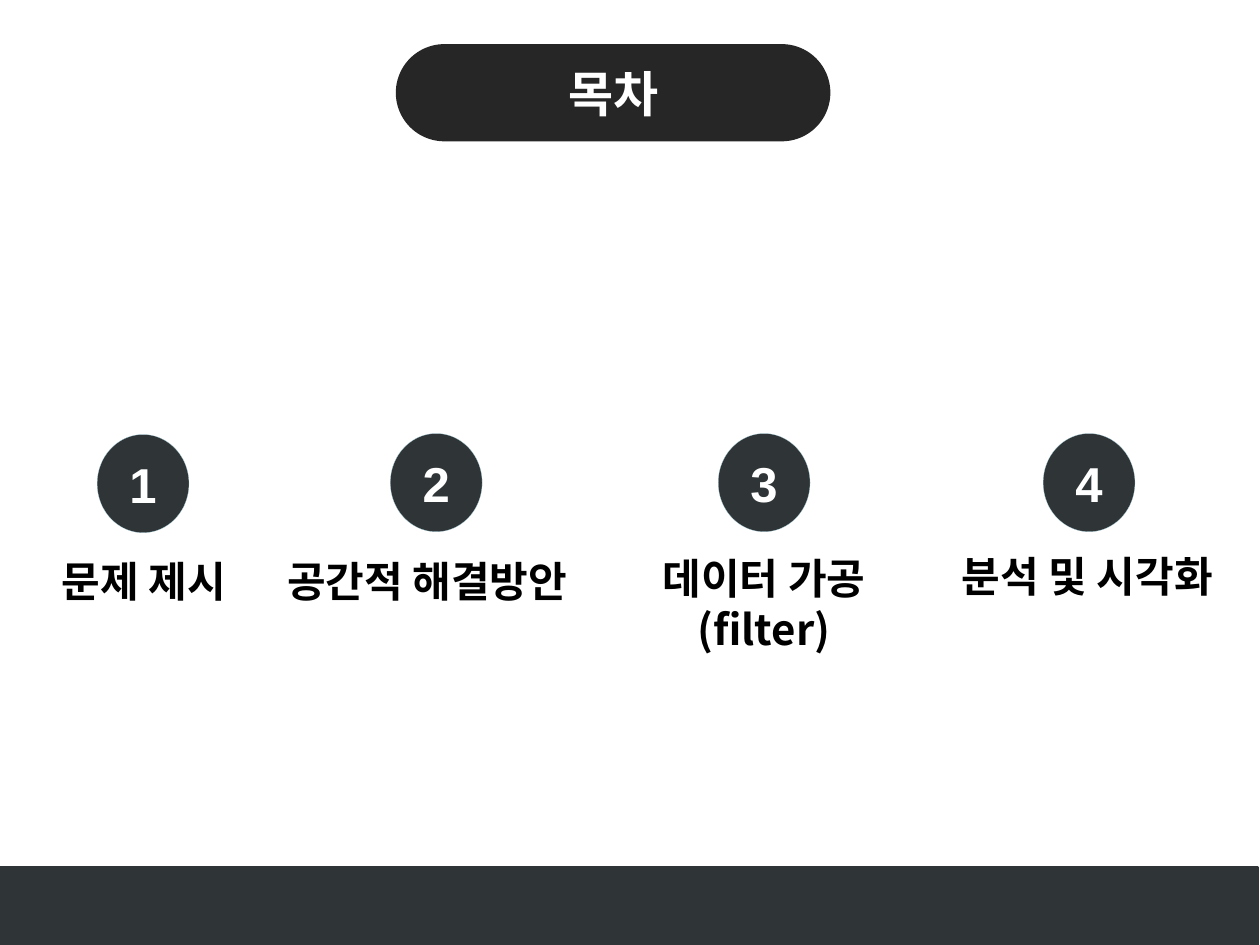
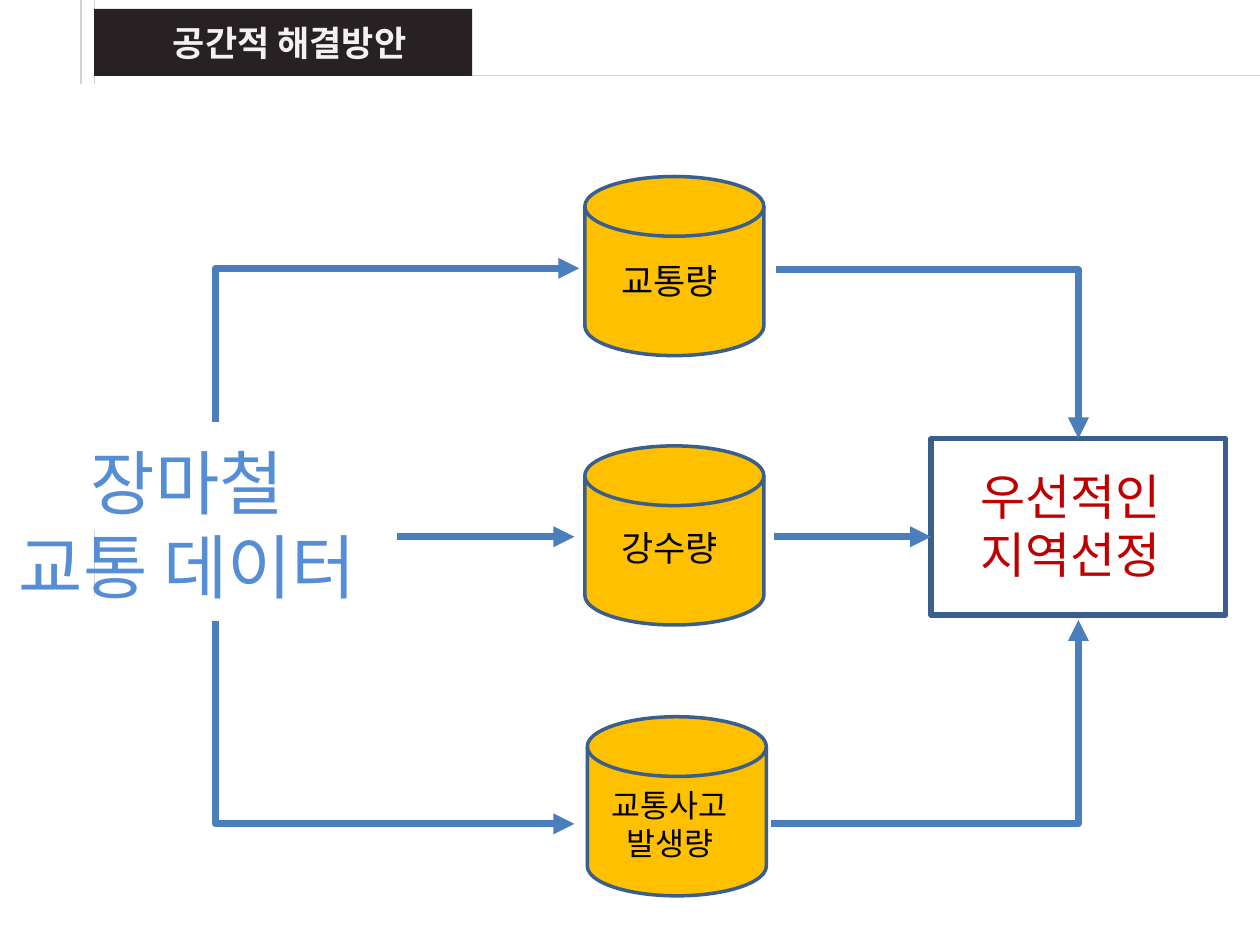
from lxml.etree import SubElement as Sub
from pptx import Presentation as Deck
from pptx.dml.color import RGBColor as RGB
from pptx.enum.shapes import MSO_CONNECTOR as Link, MSO_SHAPE as Form
from pptx.enum.text import MSO_ANCHOR as Anchor, PP_ALIGN as Align
from pptx.oxml.ns import qn
from pptx.util import Cm, Pt

HUES = {
    "pill": "262626", "slate": "2F3436", "rim": "A6D5E3", "white": "FFFFFF",
    "black": "000000", "band": "272123", "pale": "F2F2F2", "rule": "D2D2D2",
    "arrow": "4B7EBC", "disk": "FFC000", "edge": "3A5F8C", "red": "C00000",
    "blue": "558ED5",
}
SANS = "Arial"
KOREAN = "Noto Sans CJK KR"


def hue(name):
    return RGB.from_string(HUES[name])


def write(frame, text, size, color, font=KOREAN, bold=False, align=Align.CENTER):
    frame.text = text
    frame.word_wrap = True
    for para in frame.paragraphs:
        para.alignment = align
        para.font.size = Pt(size)
        para.font.bold = bold
        para.font.name = font
        para.font.color.rgb = hue(color)
        style = para._p.pPr.find(qn("a:defRPr"))
        Sub(style, qn("a:ea"), typeface=KOREAN)


def add_text(slide, spot, text, size, color, **style):
    box = slide.shapes.add_textbox(*map(Cm, spot))
    write(box.text_frame, text, size, color, **style)
    return box


def add_form(slide, form, spot, fill, edge=None, width=1):
    shape = slide.shapes.add_shape(form, *map(Cm, spot))
    shape.shadow.inherit = False
    shape.fill.solid()
    shape.fill.fore_color.rgb = hue(fill)
    if edge:
        shape.line.color.rgb = hue(edge)
        shape.line.width = Pt(width)
    else:
        shape.line.fill.background()
    shape.text_frame.vertical_anchor = Anchor.MIDDLE
    return shape


def add_line(slide, start, end, color="arrow", width=4, kind=Link.STRAIGHT, tip=None):
    line = slide.shapes.add_connector(kind, *map(Cm, start + end))
    line.line.color.rgb = hue(color)
    line.line.width = Pt(width)
    props = line._element.spPr
    Sub(props, qn("a:effectLst"))
    if tip:
        Sub(props.find(qn("a:ln")), qn(tip), type="triangle")
    return line


def add_bend(slide, start, end, tip):
    line = add_line(slide, start, end, kind=Link.ELBOW, tip=tip)
    shape = line._element.spPr.find(qn("a:prstGeom"))
    guides = shape.find(qn("a:avLst"))
    if guides is None:
        guides = Sub(shape, qn("a:avLst"))
    Sub(guides, qn("a:gd"), name="adj1", fmla="val 100000")


def add_step(slide, num, left, top, mid, level, label):
    dot = add_form(slide, Form.OVAL, (left, top, 1.85, 1.98), "slate", "rim", 0.1)
    write(dot.text_frame, str(num), 28, "white", font=SANS, bold=True)
    wide = 5.8
    box = add_text(slide, (mid - wide / 2, level, wide, 1.27), label, 24, "black", bold=True)
    box.text_frame.margin_left = box.text_frame.margin_right = 0
    box.text_frame.word_wrap = False


def add_disk(slide, left, top, level, label, size):
    add_form(slide, Form.FLOWCHART_MAGNETIC_DISK, (left, top, 3.61, 3.61), "disk", "edge", 2)
    add_text(slide, (11.7, level, 3.6, 1.12), label, size, "black")


def add_head(slide, title):
    for x, top, end in ((1.63, 0, 1.7), (1.9, 0, 1.7), (1.9, 10.69, 12.01)):
        add_line(slide, (x, top), (x, end), "rule", 0.75)
    add_line(slide, (1.93, 1.52), (25.4, 1.52), "rule", 0.75)
    add_form(slide, Form.RECTANGLE, (1.9, 0.18, 7.62, 1.35), "band")
    add_text(slide, (1.93, 0.3, 7.82, 1.12), title, 20, "pale", bold=True)


def make_index(slide):
    pill = add_form(slide, Form.ROUNDED_RECTANGLE, (7.98, 0.89, 8.76, 1.96), "pill")
    pill.adjustments[0] = 0.5
    write(pill.text_frame, "목차", 28, "white", font=SANS, bold=True)
    add_form(slide, Form.RECTANGLE, (0, 17.5, 25.35, 1.55), "slate", "slate", 2)
    steps = (
        (1.96, 8.76, 2.9, 11.07, "문제 제시"),
        (7.87, 8.74, 8.61, 11.07, "공간적 해결방안"),
        (14.48, 8.74, 15.4, 11.02, "데이터 가공\n(filter)"),
        (21.03, 8.74, 21.92, 10.97, "분석 및 시각화"),
    )
    for num, step in enumerate(steps, 1):
        add_step(slide, num, *step)


def make_flow(slide):
    add_head(slide, "공간적 해결방안")
    disks = (
        (11.79, 3.56, 5.11, "교통량", 20),
        (11.79, 8.99, 10.49, "강수량", 20),
        (11.84, 14.45, 15.72, "교통사고\n발생량", 18),
    )
    for disk in disks:
        add_disk(slide, *disk)
    add_form(slide, Form.RECTANGLE, (18.77, 8.84, 5.94, 3.56), "white", "edge", 3)
    add_text(slide, (19.51, 9.27, 5.21, 2.64), "우선적인 지역선정", 28, "red", align=Align.LEFT)
    bends = (
        ((15.54, 16.61), (21.74, 12.5), "a:tailEnd"),
        ((15.65, 5.44), (21.74, 8.84), "a:tailEnd"),
        ((11.58, 16.61), (4.34, 12.52), "a:headEnd"),
        ((11.68, 5.41), (4.34, 8.51), "a:headEnd"),
    )
    for bend in bends:
        add_bend(slide, *bend)
    for start, end in ((8, 11.58), (15.6, 18.77)):
        add_line(slide, (start, 10.82), (end, 10.82), tip="a:tailEnd")
    add_text(slide, (0.08, 8.74, 7.4, 3.68), "장마철\n교통 데이터", 40, "blue", font=SANS)


def main():
    deck = Deck()
    deck.slide_width, deck.slide_height = Cm(25.4), Cm(19.05)
    for make in (make_index, make_flow):
        make(deck.slides.add_slide(deck.slide_layouts[6]))
    deck.save("out.pptx")


if __name__ == "__main__":
    main()
